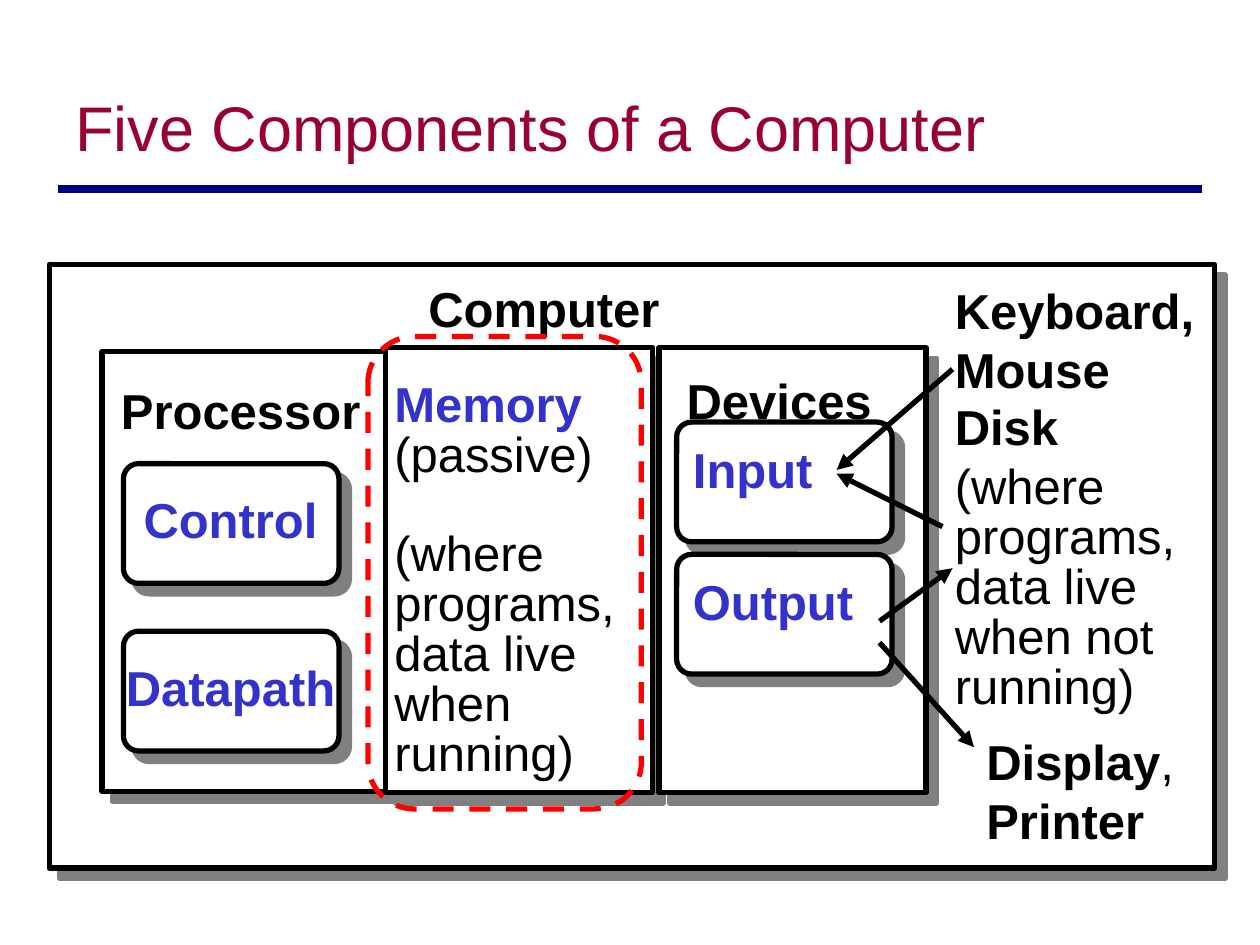
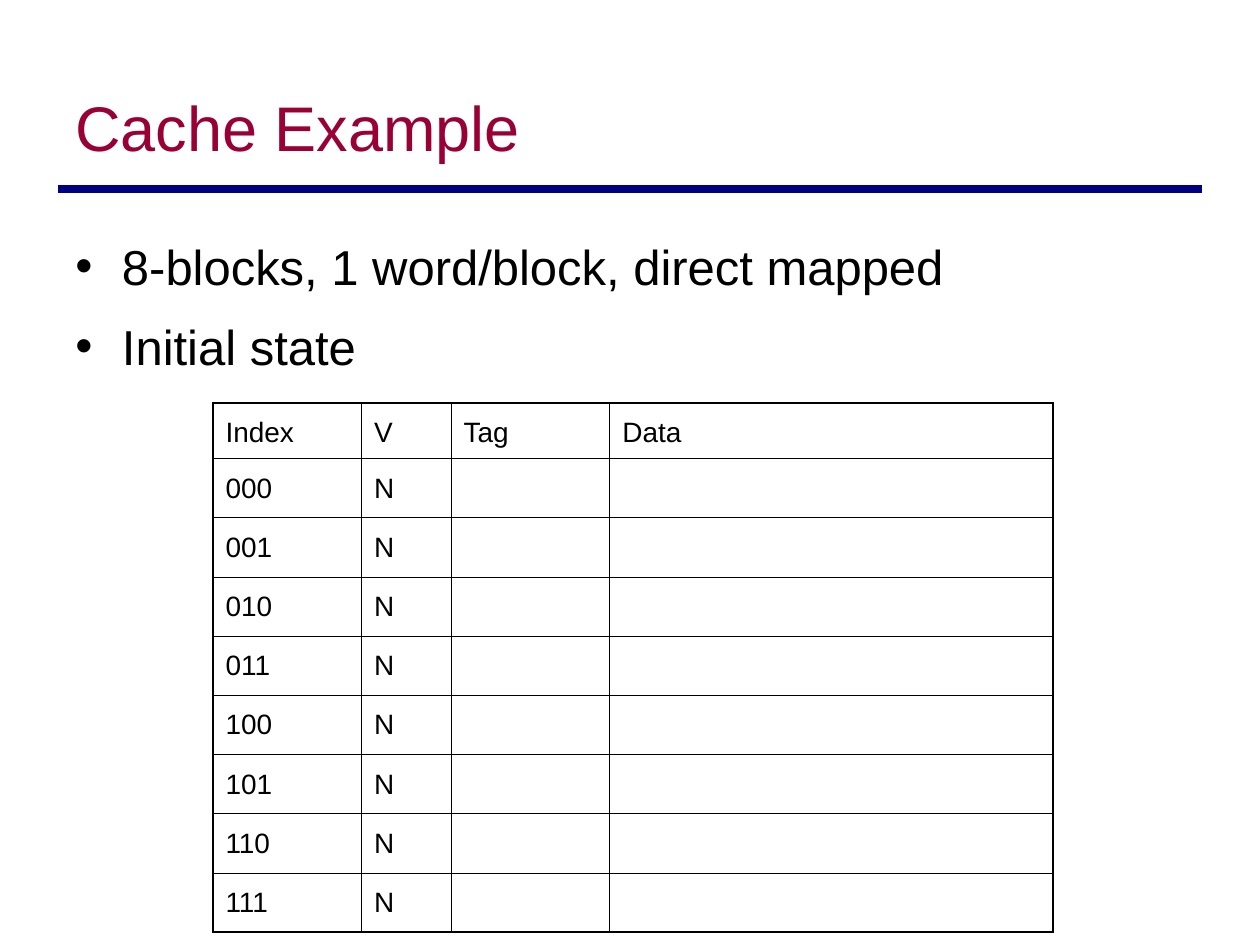
from pptx import Presentation
from pptx.dml.color import RGBColor
from pptx.enum.dml import MSO_LINE
from pptx.enum.shapes import MSO_CONNECTOR, MSO_SHAPE
from pptx.enum.text import MSO_ANCHOR, PP_ALIGN
from pptx.oxml import parse_xml
from pptx.oxml.ns import nsdecls
from pptx.util import Inches, Pt

HUES = {"ink": "000000", "paper": "FFFFFF", "title": "990033", "rule": "000080",
        "part": "3333CC", "shade": "808080", "mark": "FF0000"}
FONT = "Arial"
TIGHT = 0.85
SLIM, WIDE = (0.07, 0.03), (0.1, 0.05)


def hue(name):
    return RGBColor.from_string(HUES[name])


def node(tag, body="", **attrs):
    """Make one drawing element from its tag, inner XML and attributes."""
    extra = "".join(f' {key}="{val}"' for key, val in attrs.items())
    return parse_xml(f'<a:{tag} {nsdecls("a")}{extra}>{body}</a:{tag}>')


def paint(name):
    return f'<a:solidFill><a:srgbClr val="{HUES[name]}"/></a:solidFill>'


def add_run(para, text, size=28, color="ink", bold=False):
    if text == "\n":
        para.add_line_break()
        return
    run = para.add_run()
    run.text = text
    font = run.font
    font.name, font.size, font.bold = FONT, Pt(size), bold
    font.color.rgb = hue(color)


def add_text(slide, box, paras, pad=SLIM, space=TIGHT, align=PP_ALIGN.LEFT):
    """Add a text box; each paragraph is a list of (text, run options)."""
    frame = slide.shapes.add_textbox(*map(Inches, box)).text_frame
    frame.word_wrap = True
    frame.margin_left = frame.margin_right = Inches(pad[0])
    frame.margin_top = frame.margin_bottom = Inches(pad[1])
    for i, runs in enumerate(paras):
        para = frame.paragraphs[0] if i == 0 else frame.add_paragraph()
        para.line_spacing, para.alignment = space, align
        for text, style in runs:
            add_run(para, text, **style)
    return frame


def add_label(slide, box, text, color="ink", align=PP_ALIGN.LEFT):
    add_text(slide, box, [[(text, {"color": color, "bold": True})]], align=align)


def add_panel(slide, box, kind=MSO_SHAPE.RECTANGLE):
    """Add a white box with a black edge and a hard grey shadow."""
    panel = slide.shapes.add_shape(kind, *map(Inches, box))
    panel.fill.solid()
    panel.fill.fore_color.rgb = hue("paper")
    panel.line.color.rgb = hue("ink")
    panel.line.width = Pt(3)
    if kind == MSO_SHAPE.ROUNDED_RECTANGLE:
        panel.adjustments[0] = 0.125
    panel.shadow.inherit = False
    shade = (f'<a:outerShdw dist="{Pt(8.5)}" dir="2700000" algn="ctr" rotWithShape="0">'
             f'<a:srgbClr val="{HUES["shade"]}"/></a:outerShdw>')
    props = panel.element.spPr
    props.replace(props.find(".//{*}effectLst"), node("effectLst", shade))


def add_line(slide, start, end, color="ink", width=3, arrow=True):
    line = slide.shapes.add_connector(MSO_CONNECTOR.STRAIGHT, *map(Inches, start + end))
    line.line.color.rgb = hue(color)
    line.line.width = Pt(width)
    if arrow:
        line.line._get_or_add_ln().append(node("tailEnd", type="triangle"))
    line.element.spPr.append(node("effectLst"))


def new_slide(deck, title):
    slide = deck.slides.add_slide(deck.slide_layouts[6])
    add_line(slide, (0.46, 1.5), (9.54, 1.5), "rule", 4.5, arrow=False)
    frame = add_text(slide, (0.5, 0.3, 9, 1.25),
                     [[(title, {"size": 36, "color": "title"})]], WIDE, 1.26)
    frame.vertical_anchor = MSO_ANCHOR.MIDDLE
    return slide


def add_part(slide, left, top, name, inset, width, align):
    """Add one rounded component with its name, inset from its corner."""
    add_panel(slide, (left, top, 1.71, 0.95), MSO_SHAPE.ROUNDED_RECTANGLE)
    add_label(slide, (left + inset[0], top + inset[1], width, 0.45), name, "part", align)


def add_cpu(slide, left, top):
    mid = PP_ALIGN.CENTER
    add_label(slide, (left + 0.03, top + 0.27, 2.14, 0.45), "Processor", align=mid)
    for i, name in enumerate(("Control", "Datapath")):
        add_part(slide, left + 0.17, top + 0.89 + 1.33 * i, name, (-0.1, 0.25), 1.9, mid)


def add_memory(slide, left, top):
    lines = ("(passive)", "(where", "programs,", "data live", "when", "running)")
    paras = [[("Memory", {"color": "part", "bold": True})]]
    paras += [[(line, {})] for line in lines]
    frame = add_text(slide, (left, top + 0.25, 2, 3.23), paras)
    frame.paragraphs[2].space_before = Pt(28)


def add_devices(slide, left, top):
    add_label(slide, (left + 0.15, top + 0.22, 1.7, 0.45), "Devices")
    for i, name in enumerate(("Input", "Output")):
        add_part(slide, left + 0.14, top + 0.59 + 1.05 * i, name,
                 (0.06, 0.18), 1.5, PP_ALIGN.LEFT)


def add_outside(slide, left, top):
    """Add the names of the outer devices, from the top of their column."""
    bold = {"bold": True}
    add_text(slide, (left, top, 2.2, 1.04),
             [[("Keyboard,", bold), ("\n", {}), ("Mouse", bold)]], WIDE, 1.0)
    add_text(slide, (left + 0.25, top + 3.58, 1.79, 1.04),
             [[("Display", bold), (",", {}), ("\n", {}), ("Printer", bold)]], WIDE, 1.0)
    disk = add_text(slide, (left, top + 0.92, 2.07, 2.62),
                    [[("Disk", bold), ("\n", {}), ("(where", {})],
                     [("programs,", {})],
                     [("data live when not running)", {})]], WIDE)
    disk.paragraphs[0].line_spacing = 1.0


def add_ring(slide, box):
    ring = slide.shapes.add_shape(MSO_SHAPE.ROUNDED_RECTANGLE, *map(Inches, box))
    ring.adjustments[0] = 0.17
    ring.fill.background()
    ring.line.color.rgb = hue("mark")
    ring.line.width = Pt(3)
    ring.line.dash_style = MSO_LINE.DASH
    ring.shadow.inherit = False


def parts_slide(deck):
    slide = new_slide(deck, "Five Components of a Computer")
    cpu, memory, devices = (0.81, 2.79, 2.32, 3.49), (3.06, 2.76, 2.12, 3.53), (5.23, 2.76, 2.12, 3.53)
    for box in ((0.39, 2.1, 9.25, 4.79), cpu, memory, devices):
        add_panel(slide, box)
    add_label(slide, (3.33, 2.25, 2.05, 0.45), "Computer")
    add_cpu(slide, *cpu[:2])
    add_memory(slide, *memory[:2])
    add_devices(slide, *devices[:2])
    add_outside(slide, 7.48, 2.18)
    for start, end in (((6.98, 5.1), (7.73, 5.93)), ((7.56, 2.93), (6.64, 3.73)),
                       ((7.48, 4.18), (6.64, 3.76)), ((6.98, 4.93), (7.56, 4.51))):
        add_line(slide, start, end)
    add_ring(slide, (2.92, 2.67, 2.17, 3.75))


def add_bullets(slide, box, items):
    frame = add_text(slide, box, [[(item, {})] for item in items], WIDE, 1.16)
    for i, para in enumerate(frame.paragraphs):
        if i:
            para.space_before = Pt(7)
        props = para._p.get_or_add_pPr()
        props.set("marL", str(Inches(0.37)))
        props.set("indent", str(-Inches(0.37)))
        props.append(node("buClr", f'<a:srgbClr val="{HUES["ink"]}"/>'))
        props.append(node("buFont", typeface=FONT))
        props.append(node("buChar", char="•"))


def edge_cell(cell, **widths):
    """Draw the cell's borders, given in the order L, R, T, B."""
    props = cell._tc.get_or_add_tcPr()
    for i, (side, width) in enumerate(widths.items()):
        props.insert(i, node(f"ln{side}", paint("ink"), w=Pt(width)))


def add_grid(slide, left, top, rows):
    cols = (1.18, 0.71, 1.26, 3.52)
    heights = [0.44] + [0.47] * (len(rows) - 1)
    grid = slide.shapes.add_table(len(rows), len(cols), Inches(left), Inches(top),
                                  Inches(sum(cols)), Inches(sum(heights))).table
    grid.first_row = grid.horz_banding = False
    for col, width in zip(grid.columns, cols):
        col.width = Inches(width)
    outer, head, inner = 1.08, 0.75, 0.45
    tops = [outer, head] + [inner] * (len(rows) - 2) + [outer]
    sides = [outer] + [inner] * (len(cols) - 1) + [outer]
    for r, row in enumerate(rows):
        grid.rows[r].height = Inches(heights[r])
        for c, text in enumerate(row):
            cell = grid.cell(r, c)
            cell.fill.background()
            edge_cell(cell, L=sides[c], R=sides[c + 1], T=tops[r], B=tops[r + 1])
            if text:
                para = cell.text_frame.paragraphs[0]
                para.line_spacing = 1.26
                add_run(para, text, 16)


def cache_slide(deck):
    slide = new_slide(deck, "Cache Example")
    add_bullets(slide, (0.5, 1.75, 9, 1.3),
                ("8-blocks, 1 word/block, direct mapped", "Initial state"))
    rows = [("Index", "V", "Tag", "Data")]
    rows += [(f"{i:03b}", "N", "", "") for i in range(8)]
    add_grid(slide, 1.69, 3.2, rows)


def main():
    deck = Presentation()
    deck.slide_width, deck.slide_height = Inches(10), Inches(7.5)
    parts_slide(deck)
    cache_slide(deck)
    deck.save("out.pptx")


if __name__ == "__main__":
    main()
